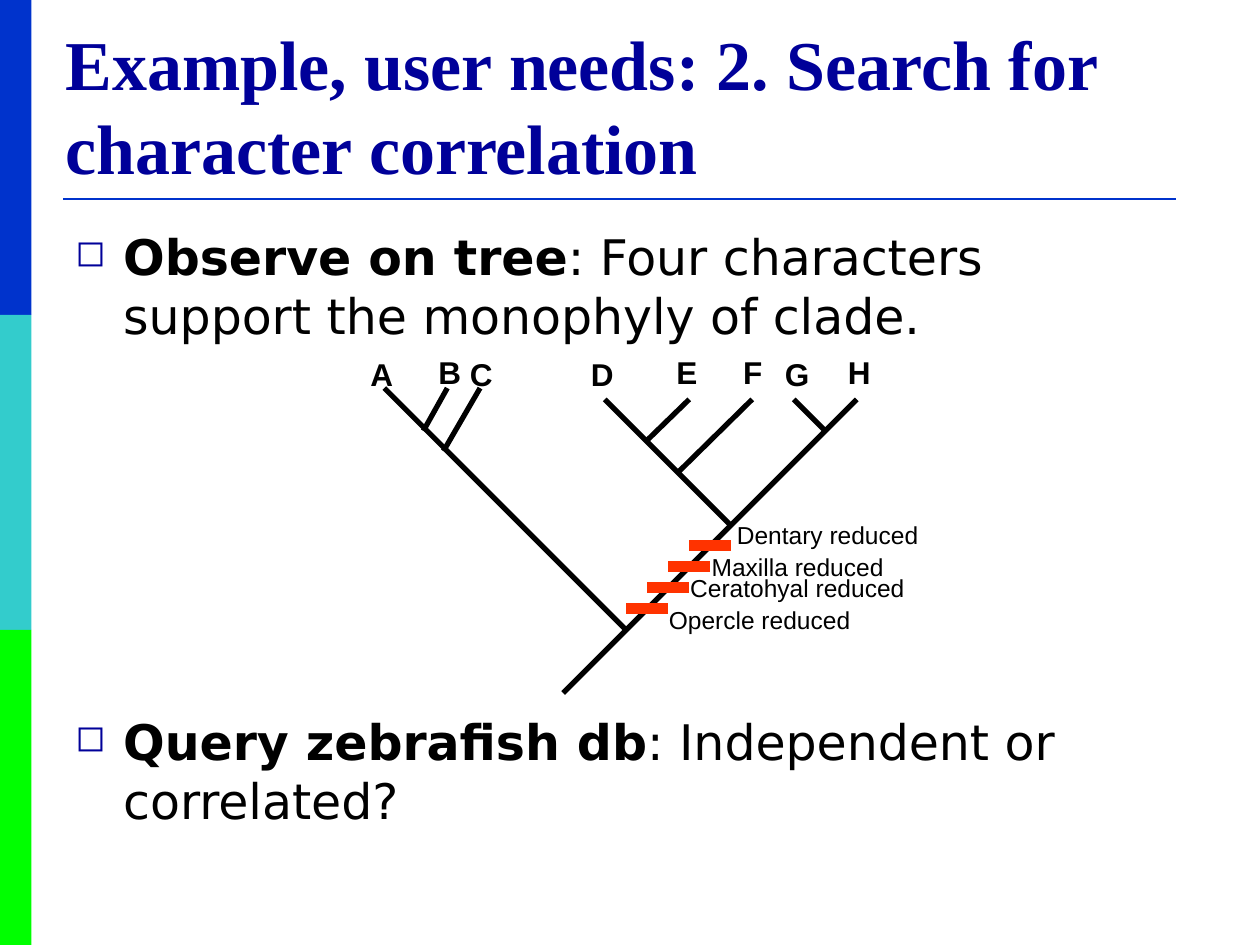
from dataclasses import dataclass

from lxml.etree import SubElement
from pptx import Presentation
from pptx.dml.color import RGBColor
from pptx.enum.shapes import MSO_CONNECTOR, MSO_SHAPE
from pptx.enum.text import MSO_ANCHOR, MSO_AUTO_SIZE, PP_ALIGN
from pptx.oxml.ns import qn
from pptx.util import Inches, Pt


@dataclass(frozen=True)
class Theme:
    navy: str = "000099"
    blue: str = "0033CC"
    teal: str = "33CCCC"
    green: str = "00FF00"
    red: str = "FF3300"
    black: str = "000000"
    serif: str = "Times New Roman"
    sans: str = "DejaVu Sans"
    label: str = "Arial"
    title_size: int = 40
    body_size: int = 28
    tip_size: int = 18
    trait_size: int = 14


THEME = Theme()

BRANCHES = [
    ((4.47, 5.5), (6.8, 3.17)),
    ((4.8, 3.17), (5.8, 4.17)),
    ((5.38, 3.75), (5.97, 3.17)),
    ((6.3, 3.17), (6.55, 3.42)),
    ((3.05, 3.08), (4.97, 5)),
    ((3.55, 3.08), (3.36, 3.42)),
    ((5.47, 3.17), (5.13, 3.5)),
    ((3.81, 3.08), (3.52, 3.58)),
]
TIPS = [
    ("A", 2.84, 2.77), ("B", 3.38, 2.75), ("C", 3.63, 2.77), ("D", 4.59, 2.77),
    ("E", 5.27, 2.75), ("F", 5.8, 2.75), ("G", 6.13, 2.77), ("H", 6.63, 2.75),
]
# From the root of the clade upwards: text, left, top, width
TRAITS = [
    ("Opercle reduced", 5.21, 4.75, 1.64),
    ("Ceratohyal reduced", 5.38, 4.5, 1.9),
    ("Maxilla reduced", 5.55, 4.33, 1.64),
    ("Dentary reduced", 5.75, 4.08, 1.64),
]
POINTS = [
    ("Observe on tree", ": Four characters support the monophyly of clade.", 0),
    ("Query zebrafish db", ": Independent or correlated?", 210),
]


def style(font, name, size, color, bold=False):
    font.name, font.size, font.bold = name, Pt(size), bold
    font.color.rgb = RGBColor.from_string(color)


def add_bar(shapes, top, color):
    bar = shapes.add_shape(
        MSO_SHAPE.RECTANGLE, 0, Inches(top), Inches(0.25), Inches(2.5))
    bar.shadow.inherit = False
    bar.fill.solid()
    bar.fill.fore_color.rgb = RGBColor.from_string(color)
    bar.line.fill.background()


def add_line(shapes, start, end, color, width):
    ends = [Inches(v) for v in (*start, *end)]
    line = shapes.add_connector(MSO_CONNECTOR.STRAIGHT, *ends)
    line.line.color.rgb = RGBColor.from_string(color)
    line.line.width = Pt(width)
    SubElement(line._element.spPr, qn("a:effectLst"))


def add_label(shapes, text, left, top, width, height, size, bold=False):
    box = shapes.add_textbox(*map(Inches, (left, top, width, height)))
    frame = box.text_frame
    frame.word_wrap = False
    frame.auto_size = MSO_AUTO_SIZE.SHAPE_TO_FIT_TEXT
    frame.text = text
    style(frame.paragraphs[0].runs[0].font, THEME.label, size, THEME.black, bold)


def set_title(title, text):
    title.left, title.top = Inches(0.42), Inches(0.3)
    title.width, title.height = Inches(9.25), Inches(1.25)
    frame = title.text_frame
    frame.text = text
    frame.word_wrap = True
    frame.auto_size = MSO_AUTO_SIZE.NONE
    frame.vertical_anchor = MSO_ANCHOR.BOTTOM
    para = frame.paragraphs[0]
    para.alignment = PP_ALIGN.LEFT
    style(para.runs[0].font, THEME.serif, THEME.title_size, THEME.navy, True)


def add_bullet(para):
    """Give the paragraph a hollow square and a hanging indent."""
    props = para._p.get_or_add_pPr()
    props.set("marL", str(Inches(0.38)))
    props.set("indent", str(-Inches(0.38)))
    color = SubElement(props, qn("a:buClr"))
    SubElement(color, qn("a:srgbClr"), val=THEME.navy)
    SubElement(props, qn("a:buSzPct"), val="75000")
    SubElement(props, qn("a:buChar"), char="◻")


def add_points(shapes):
    box = shapes.add_textbox(Inches(0.5), Inches(1.75), Inches(9), Inches(4.95))
    frame = box.text_frame
    frame.word_wrap = True
    for i, (lead, rest, gap) in enumerate(POINTS):
        para = frame.add_paragraph() if i else frame.paragraphs[0]
        add_bullet(para)
        para.space_before = Pt(gap)
        for text, bold in ((lead, True), (rest, False)):
            run = para.add_run()
            run.text = text
            style(run.font, THEME.sans, THEME.body_size, THEME.black, bold)


def add_tree(shapes):
    tree = shapes.add_group_shape().shapes
    for start, end in BRANCHES:
        add_line(tree, start, end, THEME.black, 3)
    step = 1 / 6
    for i, (text, left, top, width) in enumerate(TRAITS):
        x, y = 4.97 + i * step, 4.83 - i * step
        add_line(tree, (x, y), (x + 2 * step, y), THEME.red, 6)
        add_label(tree, text, left, top, width, 0.34, THEME.trait_size)
    for text, left, top in TIPS:
        add_label(tree, text, left, top, 0.38, 0.4, THEME.tip_size, True)


def main():
    deck = Presentation()
    deck.slide_width, deck.slide_height = Inches(10), Inches(7.5)
    slide = deck.slides.add_slide(deck.slide_layouts[5])
    shapes = slide.shapes
    for i, color in enumerate((THEME.blue, THEME.teal, THEME.green)):
        add_bar(shapes, 2.5 * i, color)
    add_line(shapes, (0.5, 1.58), (9.33, 1.58), THEME.blue, 1.5)
    set_title(shapes.title,
              "Example, user needs: 2. Search for character correlation")
    add_points(shapes)
    add_tree(shapes)
    deck.save("out.pptx")


if __name__ == "__main__":
    main()
